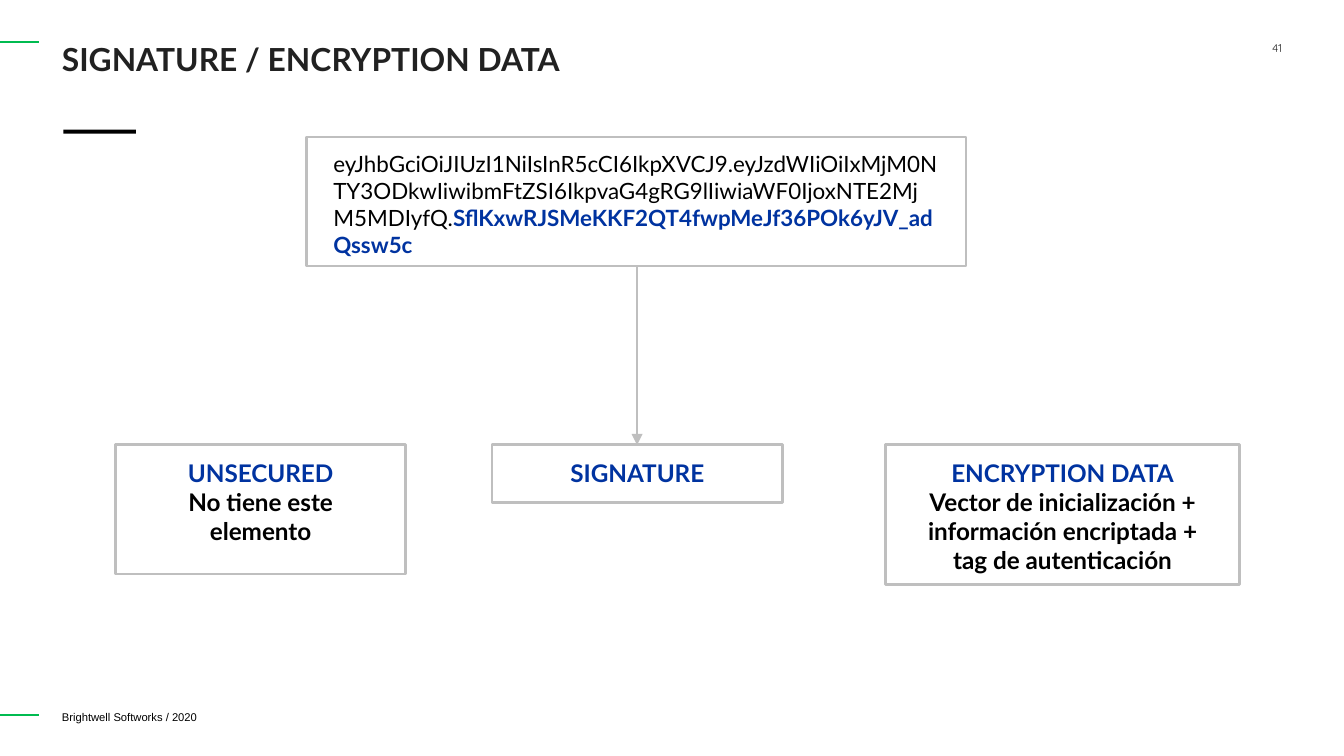
from typing import NamedTuple

from lxml.etree import SubElement
from pptx import Presentation
from pptx.dml.color import RGBColor
from pptx.enum.shapes import MSO_CONNECTOR as Connector, MSO_SHAPE as Shape
from pptx.enum.text import MSO_ANCHOR as Anchor, PP_ALIGN as Align
from pptx.oxml.ns import qn
from pptx.util import Cm, Pt

BLACK = RGBColor(0x00, 0x00, 0x00)
INK = RGBColor(0x21, 0x21, 0x21)
BLUE = RGBColor(0x00, 0x33, 0xA0)
GREEN = RGBColor(0x00, 0xBB, 0x50)
GRAY = RGBColor(0xBF, 0xBF, 0xBF)

MARGIN = 1.17
TOKEN_TOP, TOKEN_HEIGHT = 2.59, 2.44
CARD_TOP = 8.41
CENTER = 12.04


class Piece(NamedTuple):
    text: str
    size: float
    color: RGBColor
    bold: bool = False
    font: str = "Lato"


class Card(NamedTuple):
    left: float
    width: float
    height: float
    heading: str
    body: str = ""


CARDS = [
    Card(2.18, 5.49, 2.44, "UNSECURED", "No tiene este elemento"),
    Card(9.3, 5.49, 1.09, "SIGNATURE"),
    Card(16.74, 6.68, 2.64, "ENCRYPTION DATA",
         "Vector de inicialización + información encriptada + tag de autenticación"),
]

TOKEN = [
    Piece("eyJhbGciOiJIUzI1NiIsInR5cCI6IkpXVCJ9."
          "eyJzdWIiOiIxMjM0NTY3ODkwIiwibmFtZSI6IkpvaG4gRG9lIiwiaWF0IjoxNTE2MjM5MDIyfQ.",
          12, BLACK),
    Piece("SflKxwRJSMeKKF2QT4fwpMeJf36POk6yJV_adQssw5c", 12, BLUE, True),
]


def fill_text(shape, lines: list[list[Piece]], align=Align.LEFT, anchor=Anchor.TOP,
              side: float = 0, top: float = 0) -> None:
    """Write one paragraph per line, one run per piece."""
    frame = shape.text_frame
    frame.word_wrap = True
    frame.vertical_anchor = anchor
    frame.margin_left = frame.margin_right = Cm(side)
    frame.margin_top, frame.margin_bottom = Cm(top), 0
    for index, pieces in enumerate(lines):
        paragraph = frame.add_paragraph() if index else frame.paragraphs[0]
        paragraph.alignment = align
        for piece in pieces:
            run = paragraph.add_run()
            run.text = piece.text
            run.font.name = piece.font
            run.font.size = Pt(piece.size)
            run.font.bold = piece.bold
            run.font.color.rgb = piece.color


def add_label(slide, left: float, top: float, width: float, height: float,
              piece: Piece, align=Align.LEFT, anchor=Anchor.TOP) -> None:
    box = slide.shapes.add_textbox(Cm(left), Cm(top), Cm(width), Cm(height))
    fill_text(box, [[piece]], align, anchor)


def add_frame(slide, left: float, top: float, width: float, height: float,
              lines: list[list[Piece]], align=Align.LEFT) -> None:
    """Add a gray outlined box with text."""
    shape = slide.shapes.add_shape(Shape.RECTANGLE, Cm(left), Cm(top), Cm(width), Cm(height))
    shape.shadow.inherit = False
    shape.fill.background()
    shape.line.color.rgb = GRAY
    shape.line.width = Pt(1.5)
    fill_text(shape, lines, align, side=0.51, top=0.25)


def add_line(slide, x1: float, y1: float, x2: float, y2: float,
             color: RGBColor, width: float, arrow: bool = False) -> None:
    line = slide.shapes.add_connector(Connector.STRAIGHT, Cm(x1), Cm(y1), Cm(x2), Cm(y2))
    line.line.color.rgb = color
    line.line.width = Pt(width)
    if arrow:
        SubElement(line.line._get_or_add_ln(), qn("a:tailEnd"), type="triangle")
    SubElement(line._element.spPr, qn("a:effectLst"))


def main() -> None:
    presentation = Presentation()
    presentation.slide_width, presentation.slide_height = Cm(25.4), Cm(14.29)
    slide = presentation.slides.add_slide(presentation.slide_layouts[6])

    # Footer, page number and green edge marks
    add_label(slide, MARGIN, 13.34, 5.64, 0.41,
              Piece("Brightwell Softworks / 2020", 6, BLACK, font="Arial"),
              anchor=Anchor.MIDDLE)
    for y in (0.79, 13.51):
        add_line(slide, 0, y, 0.74, y, GREEN, 1)
    add_label(slide, 22.71, 0.79, 1.52, 1.09,
              Piece("41", 6, INK, font="Quicksand"), Align.RIGHT)

    # Title and its accent bar
    add_label(slide, MARGIN, 0.76, 23.06, 1.02,
              Piece("SIGNATURE / ENCRYPTION DATA", 17, INK, True))
    bar = slide.shapes.add_shape(Shape.RECTANGLE, Cm(1.2), Cm(2.45), Cm(1.37), Cm(0.08))
    bar.shadow.inherit = False
    bar.fill.solid()
    bar.fill.fore_color.rgb = BLACK
    bar.line.fill.background()

    # Token and the arrow to its last part
    add_frame(slide, 5.79, TOKEN_TOP, 12.47, TOKEN_HEIGHT, [TOKEN])
    add_line(slide, CENTER, TOKEN_TOP + TOKEN_HEIGHT, CENTER, CARD_TOP, GRAY, 1.5, arrow=True)

    # Variants of the last part
    for card in CARDS:
        lines = [[Piece(card.heading, 13, BLUE, True)]]
        if card.body:
            lines.append([Piece(card.body, 13, BLACK, True)])
        add_frame(slide, card.left, CARD_TOP, card.width, card.height, lines, Align.CENTER)

    presentation.save("out.pptx")


if __name__ == "__main__":
    main()
